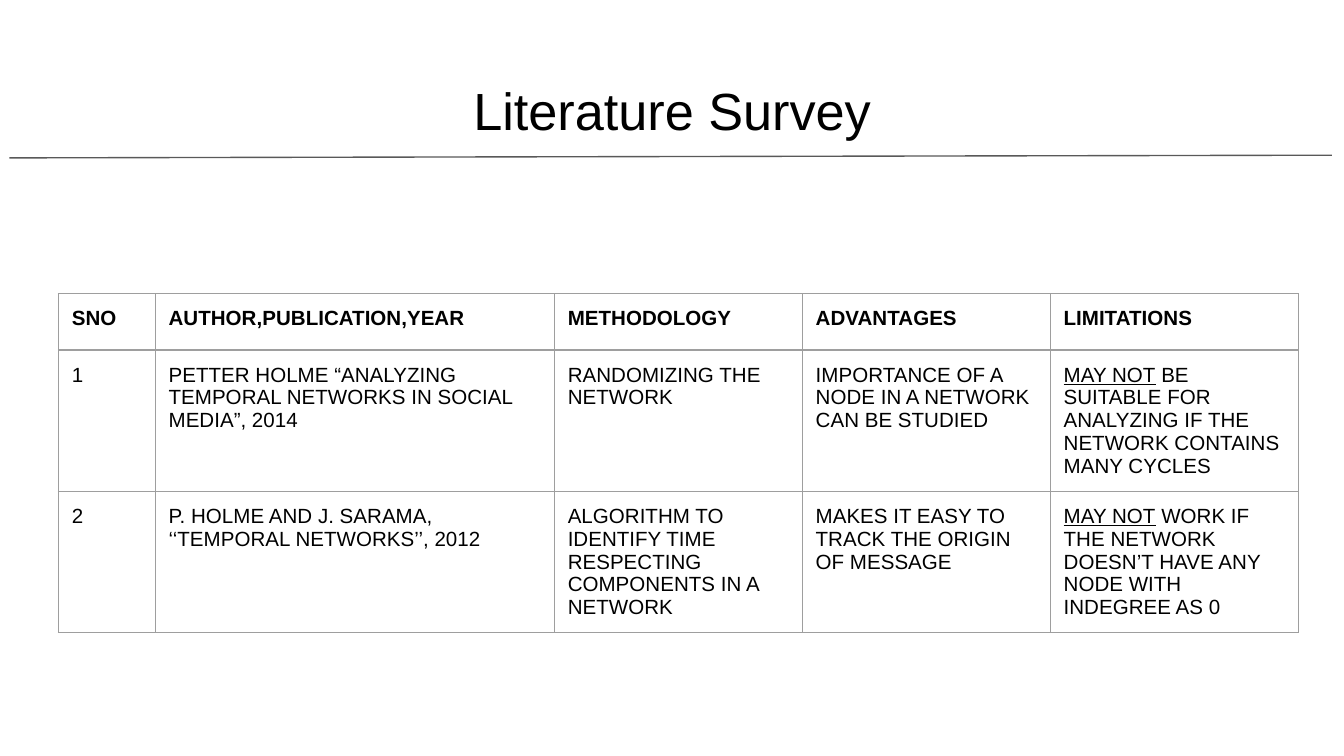
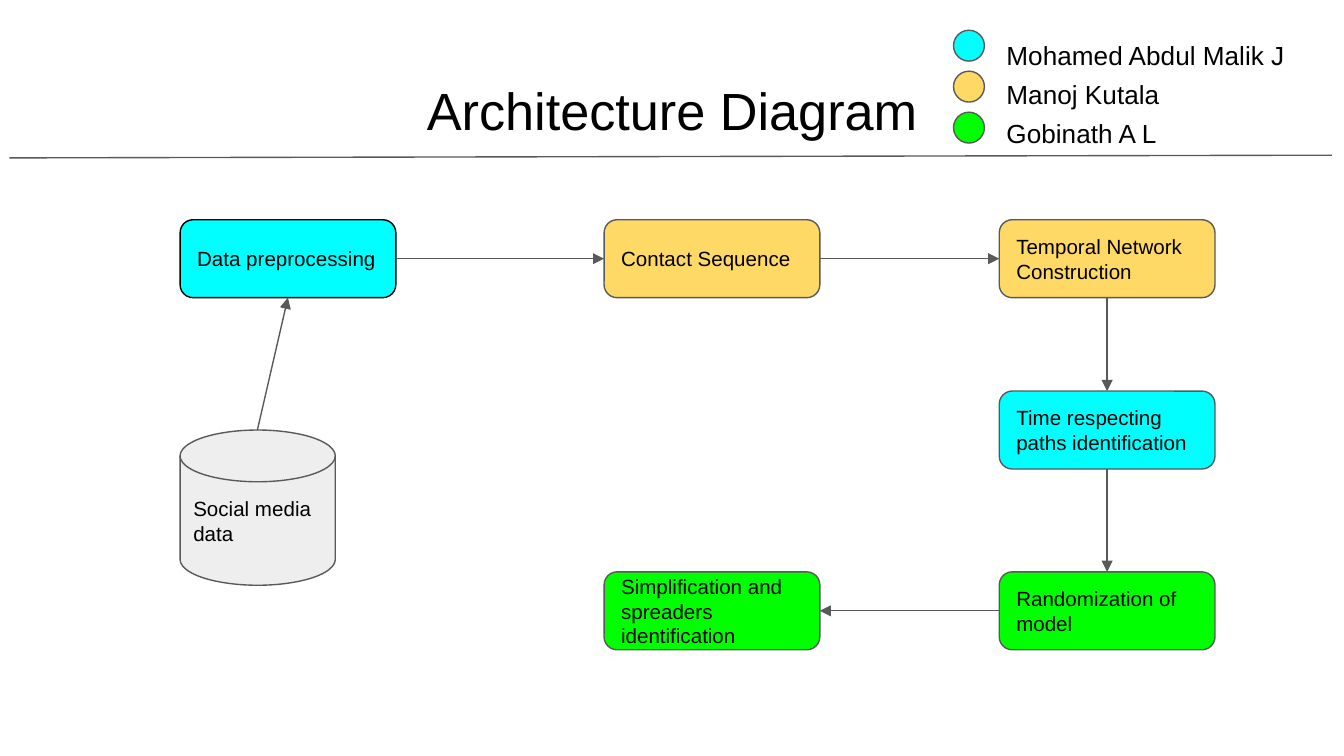
import dataclasses
import typing

import lxml.etree
import pptx
import pptx.dml.color
import pptx.enum.shapes
import pptx.enum.text
import pptx.oxml.ns
import pptx.util

PX = 4572  # 200 px to the inch
FONT = "Arial"
COLORS = {
    "black": "000000",
    "gray": "595959",
    "border": "9E9E9E",
    "silver": "EEEEEE",
    "cyan": "00FFFF",
    "yellow": "FFD966",
    "green": "00FF00",
}
INSET = 20
LINE_WIDTH = 0.75
BODY_SIZE = 11
TOP, LEFT, BOTTOM, RIGHT = range(4)  # connection sites of a rounded box
SHAPES = pptx.enum.shapes.MSO_SHAPE
ANCHORS = pptx.enum.text.MSO_ANCHOR


class Span(typing.NamedTuple):
    text: str
    underline: bool = False


@dataclasses.dataclass(frozen=True)
class Node:
    name: str
    label: str
    left: int
    top: int
    fill: str
    line: str = "gray"


class Link(typing.NamedTuple):
    start: str
    start_site: int
    end: str
    end_site: int


class Member(typing.NamedTuple):
    name: str
    fill: str


NODE_SIZE = (321, 116)
COLUMNS = (268, 899, 1487)
ROWS = (327, 582, 851)
NODES = [
    Node("preprocess", "Data preprocessing", COLUMNS[0], ROWS[0], "cyan", "black"),
    Node("contact", "Contact Sequence", COLUMNS[1], ROWS[0], "yellow"),
    Node("network", "Temporal Network Construction", COLUMNS[2], ROWS[0], "yellow"),
    Node("paths", "Time respecting paths identification", COLUMNS[2], ROWS[1], "cyan"),
    Node("model", "Randomization of model", COLUMNS[2], ROWS[2], "green"),
    Node("spreaders", "Simplification and spreaders identification",
         COLUMNS[1], ROWS[2], "green"),
]
LINKS = [
    Link("preprocess", RIGHT, "contact", LEFT),
    Link("contact", RIGHT, "network", LEFT),
    Link("network", BOTTOM, "paths", TOP),
    Link("paths", BOTTOM, "model", TOP),
    Link("model", LEFT, "spreaders", RIGHT),
]
MEMBERS = [
    Member("Mohamed Abdul Malik J", "cyan"),
    Member("Manoj Kutala", "yellow"),
    Member("Gobinath A L", "green"),
]

COLUMN_WIDTHS = (144, 594, 369, 369, 369)
ROW_HEIGHT = 84
HEADINGS = ["SNO", "AUTHOR,PUBLICATION,YEAR", "METHODOLOGY", "ADVANTAGES", "LIMITATIONS"]
MAY_NOT = Span("MAY NOT", underline=True)
SURVEY = [
    [[Span(heading)] for heading in HEADINGS],
    [
        [Span("1")],
        [Span("PETTER HOLME “ANALYZING TEMPORAL NETWORKS IN SOCIAL MEDIA”, 2014")],
        [Span("RANDOMIZING THE NETWORK")],
        [Span("IMPORTANCE OF A NODE IN A NETWORK CAN BE STUDIED")],
        [MAY_NOT, Span(" BE SUITABLE FOR ANALYZING IF THE NETWORK CONTAINS MANY CYCLES")],
    ],
    [
        [Span("2")],
        [Span("P. HOLME AND J. SARAMA, ‘‘TEMPORAL NETWORKS’’, 2012")],
        [Span("ALGORITHM TO IDENTIFY TIME RESPECTING COMPONENTS IN A NETWORK")],
        [Span("MAKES IT EASY TO TRACK THE ORIGIN OF MESSAGE")],
        [MAY_NOT, Span(" WORK IF THE NETWORK DOESN’T HAVE ANY NODE WITH INDEGREE AS 0")],
    ],
]


def px(*lengths: int) -> list[pptx.util.Emu]:
    return [pptx.util.Emu(length * PX) for length in lengths]


def rgb(name: str) -> pptx.dml.color.RGBColor:
    return pptx.dml.color.RGBColor.from_string(COLORS[name])


def add_spans(para, spans: list[Span], size: int, bold: bool = False) -> None:
    for span in spans:
        run = para.add_run()
        run.text = span.text
        run.font.name = FONT
        run.font.size = pptx.util.Pt(size)
        run.font.bold = bold
        run.font.underline = span.underline
        run.font.color.rgb = rgb("black")


def set_insets(holder) -> None:
    """Give a text frame or a table cell the same inset on all sides."""
    (holder.margin_left, holder.margin_top,
     holder.margin_right, holder.margin_bottom) = px(*[INSET] * 4)


def format_frame(frame, anchor) -> None:
    """Set wrapping, insets and the vertical anchor of a text frame."""
    frame.word_wrap = True
    frame.auto_size = pptx.enum.text.MSO_AUTO_SIZE.NONE
    frame.vertical_anchor = anchor
    set_insets(frame)


def add_page(deck, title: str):
    page = deck.slides.add_slide(deck.slide_layouts[5])
    box = page.shapes.title
    box.left, box.top, box.width, box.height = px(68, 97, 1864, 126)
    format_frame(box.text_frame, ANCHORS.TOP)
    para = box.text_frame.paragraphs[0]
    para.alignment = pptx.enum.text.PP_ALIGN.CENTER
    add_spans(para, [Span(title)], 28)
    return page


def add_line(page, start: tuple[int, int], end: tuple[int, int], arrow: bool = False):
    line = page.shapes.add_connector(
        pptx.enum.shapes.MSO_CONNECTOR.STRAIGHT, *px(*start, *end))
    line.line.color.rgb = rgb("gray")
    line.line.width = pptx.util.Pt(LINE_WIDTH)
    if arrow:
        lxml.etree.SubElement(line.line._get_or_add_ln(),
                              pptx.oxml.ns.qn("a:tailEnd"), type="triangle")
    lxml.etree.SubElement(line._element.spPr, pptx.oxml.ns.qn("a:effectLst"))
    return line


def add_title_rule(page) -> None:
    add_line(page, (14, 235), (1982, 231))


def add_figure(page, kind, place: tuple[int, int, int, int], fill: str,
               line: str = "gray", label: str = ""):
    """Draw a filled, outlined preset shape, with a label if one is given."""
    shape = page.shapes.add_shape(kind, *px(*place))
    shape.shadow.inherit = False
    shape.fill.solid()
    shape.fill.fore_color.rgb = rgb(fill)
    shape.line.color.rgb = rgb(line)
    shape.line.width = pptx.util.Pt(LINE_WIDTH)
    if label:
        format_frame(shape.text_frame, ANCHORS.MIDDLE)
        para = shape.text_frame.paragraphs[0]
        para.alignment = pptx.enum.text.PP_ALIGN.LEFT
        add_spans(para, [Span(label)], BODY_SIZE)
    return shape


def add_borders(cell) -> None:
    properties = cell._tc.get_or_add_tcPr()
    for index, side in enumerate(("lnL", "lnR", "lnT", "lnB")):
        border = lxml.etree.Element(pptx.oxml.ns.qn(f"a:{side}"),
                                    w=str(pptx.util.Pt(LINE_WIDTH)))
        fill = lxml.etree.SubElement(border, pptx.oxml.ns.qn("a:solidFill"))
        lxml.etree.SubElement(fill, pptx.oxml.ns.qn("a:srgbClr"), val=COLORS["border"])
        properties.insert(index, border)


def add_survey_table(page) -> None:
    place = px(87, 437, sum(COLUMN_WIDTHS), ROW_HEIGHT * len(SURVEY))
    table = page.shapes.add_table(len(SURVEY), len(HEADINGS), *place).table
    table.first_row = table.horz_banding = False
    for column, width in zip(table.columns, px(*COLUMN_WIDTHS)):
        column.width = width
    for row_index, entries in enumerate(SURVEY):
        for column_index, spans in enumerate(entries):
            cell = table.cell(row_index, column_index)
            cell.fill.background()
            add_borders(cell)
            set_insets(cell)
            add_spans(cell.text_frame.paragraphs[0], spans, BODY_SIZE,
                      bold=row_index == 0)


def add_flow(page) -> None:
    boxes = {
        node.name: add_figure(page, SHAPES.ROUNDED_RECTANGLE,
                              (node.left, node.top, *NODE_SIZE),
                              node.fill, node.line, node.label)
        for node in NODES
    }
    for link in LINKS:
        arrow = add_line(page, (0, 0), (0, 0), arrow=True)
        arrow.begin_connect(boxes[link.start], link.start_site)
        arrow.end_connect(boxes[link.end], link.end_site)

    left, top, side = COLUMNS[0], 640, 231
    add_figure(page, SHAPES.FLOWCHART_MAGNETIC_DISK, (left, top, side, side),
               "silver", label="Social media data")
    arrow = add_line(page, (left + side // 2, top), (0, 0), arrow=True)
    arrow.end_connect(boxes["preprocess"], BOTTOM)


def add_legend(page) -> None:
    for index, member in enumerate(MEMBERS):
        add_figure(page, SHAPES.OVAL, (1419, 45 + 61 * index, 46, 46), member.fill)
    frame = page.shapes.add_textbox(*px(1478, 27, 482, 196)).text_frame
    format_frame(frame, ANCHORS.TOP)
    for index, member in enumerate(MEMBERS):
        para = frame.add_paragraph() if index else frame.paragraphs[0]
        para.line_spacing = 1.25
        add_spans(para, [Span(member.name)], 14)


def main() -> None:
    deck = pptx.Presentation()
    deck.slide_width, deck.slide_height = px(2000, 1125)

    survey_page = add_page(deck, "Literature Survey")
    add_survey_table(survey_page)
    add_title_rule(survey_page)

    diagram_page = add_page(deck, "Architecture Diagram")
    add_flow(diagram_page)
    add_legend(diagram_page)
    add_title_rule(diagram_page)

    deck.save("out.pptx")


if __name__ == "__main__":
    main()
